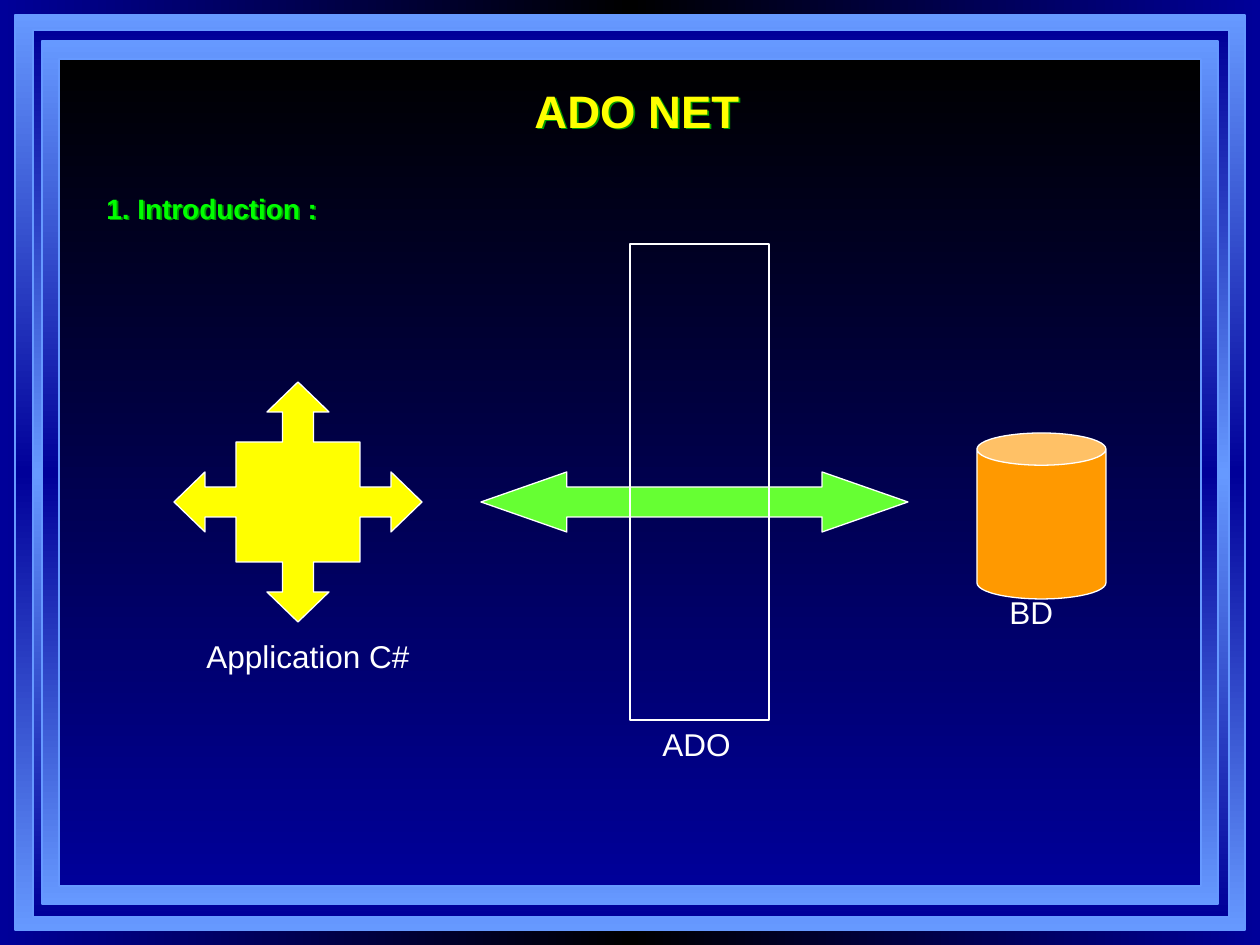
from lxml import etree
from pptx import Presentation
from pptx.dml.color import RGBColor
from pptx.enum.shapes import MSO_SHAPE
from pptx.enum.text import MSO_ANCHOR, MSO_AUTO_SIZE, PP_ALIGN
from pptx.oxml.ns import qn
from pptx.util import Emu, Pt

RECT, CAN, ARROW = MSO_SHAPE.RECTANGLE, MSO_SHAPE.CAN, MSO_SHAPE.LEFT_RIGHT_ARROW
TOP, MID = MSO_ANCHOR.TOP, MSO_ANCHOR.MIDDLE
LEFT, CENTER = PP_ALIGN.LEFT, PP_ALIGN.CENTER
FIT = MSO_AUTO_SIZE.SHAPE_TO_FIT_TEXT
PX = 914400 / 126
HEX = {"navy": "000099", "black": "000000", "sky": "6699FF", "white": "FFFFFF",
       "yellow": "FFFF00", "green": "00FF00", "shade": "009900",
       "lime": "66FF33", "orange": "FF9900"}


def blend(fill, owner, names, angle):
    fill.gradient()
    grad = owner.find(".//" + qn("a:gradFill"))
    for old in list(grad):
        grad.remove(old)
    stops = etree.SubElement(grad, qn("a:gsLst"))
    for i, name in enumerate(names):
        stop = etree.SubElement(stops, qn("a:gs"), pos=str(100000 * i // (len(names) - 1)))
        etree.SubElement(stop, qn("a:srgbClr"), val=HEX[name])
    etree.SubElement(grad, qn("a:lin"), ang=str(angle * 60000), scaled="0")


def write(box, runs, wrap, align, anchor):
    frame = box.text_frame
    frame.word_wrap = wrap
    frame.auto_size = FIT
    frame.vertical_anchor = anchor
    para = frame.paragraphs[0]
    para.alignment = align
    for words, size, color, bold in runs:
        run = para.add_run()
        run.text = words
        run.font.name = "Arial"
        run.font.size = Pt(size)
        run.font.bold = bold
        run.font.color.rgb = RGBColor.from_string(HEX[color])


prs = Presentation()
prs.slide_width, prs.slide_height = Emu(round(1260 * PX)), Emu(round(945 * PX))
slide = prs.slides.add_slide(prs.slide_layouts[5])
shapes = slide.shapes
blend(slide.background.fill, slide.background._cSld, ["navy", "black", "navy"], 0)

border = shapes.add_group_shape()
for area, names in [
    ((15, 15, 1230, 915), ["sky", "navy", "sky"]),
    ((33, 30, 1196, 887), ["navy", "sky", "navy"]),
    ((42, 41, 1176, 863), ["sky", "navy", "sky"]),
    ((59, 59, 1142, 827), ["black", "navy"]),
]:
    panel = border.shapes.add_shape(RECT, *[Emu(round(n * PX)) for n in area])
    panel.shadow.inherit = False
    blend(panel.fill, panel._element.spPr, names, 90)
    panel.line.color.rgb = RGBColor.from_string(HEX["sky"])
    panel.line.width = Pt(1)

title = shapes.title
shapes._spTree.append(title._element)
title.left, title.top, title.width, title.height = [
    Emu(round(n * PX)) for n in (518, 76, 238, 68)]
write(title, [("ADO NET", 26, "yellow", True), (" ", 18, "white", False)],
      False, CENTER, MID)

head = shapes.add_textbox(*[Emu(round(n * PX)) for n in (94, 185, 1121, 47)])
write(head, [("1. Introduction :", 16, "green", True)], True, LEFT, TOP)

for box in (title, head):
    box.fill.background()
    box.shadow.inherit = False
    effect = box._element.spPr.find(qn("a:effectLst"))
    cast = etree.SubElement(effect, qn("a:outerShdw"), dist="17961", dir="2700000",
                            algn="ctr", rotWithShape="0")
    etree.SubElement(cast, qn("a:srgbClr"), val=HEX["shade"])

store = shapes.add_group_shape()
can = store.shapes.add_shape(CAN, *[Emu(round(n * PX)) for n in (977, 433, 129, 166)])
can.adjustments[0] = 0.25

arm = [(-4, -4), (-1, -4), (-1, -6), (-2, -6), (0, -8), (2, -6), (1, -6), (1, -4)]
points = []
for turn in range(4):
    points += arm
    arm = [(-y, x) for x, y in arm]
points = [(round((298 + x * 15.5) * PX), round((502 + y * 15) * PX)) for x, y in points]
pen = shapes.build_freeform(*points[0])
pen.add_line_segments(points[1:], close=True)
app = pen.convert_to_shape()

link = shapes.add_shape(ARROW, *[Emu(round(n * PX)) for n in (481, 472, 427, 60)])
link.adjustments[0], link.adjustments[1] = 0.5, 1.43
layer = shapes.add_shape(RECT, *[Emu(round(n * PX)) for n in (630, 244, 139, 476)])

for shape, color in [(can, "orange"), (app, "yellow"), (link, "lime"), (layer, None)]:
    shape.shadow.inherit = False
    if color:
        shape.fill.solid()
        shape.fill.fore_color.rgb = RGBColor.from_string(HEX[color])
    else:
        shape.fill.background()
    shape.line.color.rgb = RGBColor.from_string(HEX["white"])
    shape.line.width = Pt(0.75)

for home, words, area in [
    (store.shapes, "BD", (997, 587, 77, 50)),
    (shapes, "Application C#", (194, 631, 237, 50)),
    (shapes, "ADO", (650, 719, 102, 50)),
]:
    label = home.add_textbox(*[Emu(round(n * PX)) for n in area])
    write(label, [(words, 18, "white", False)], False, LEFT, TOP)

prs.save("out.pptx")
